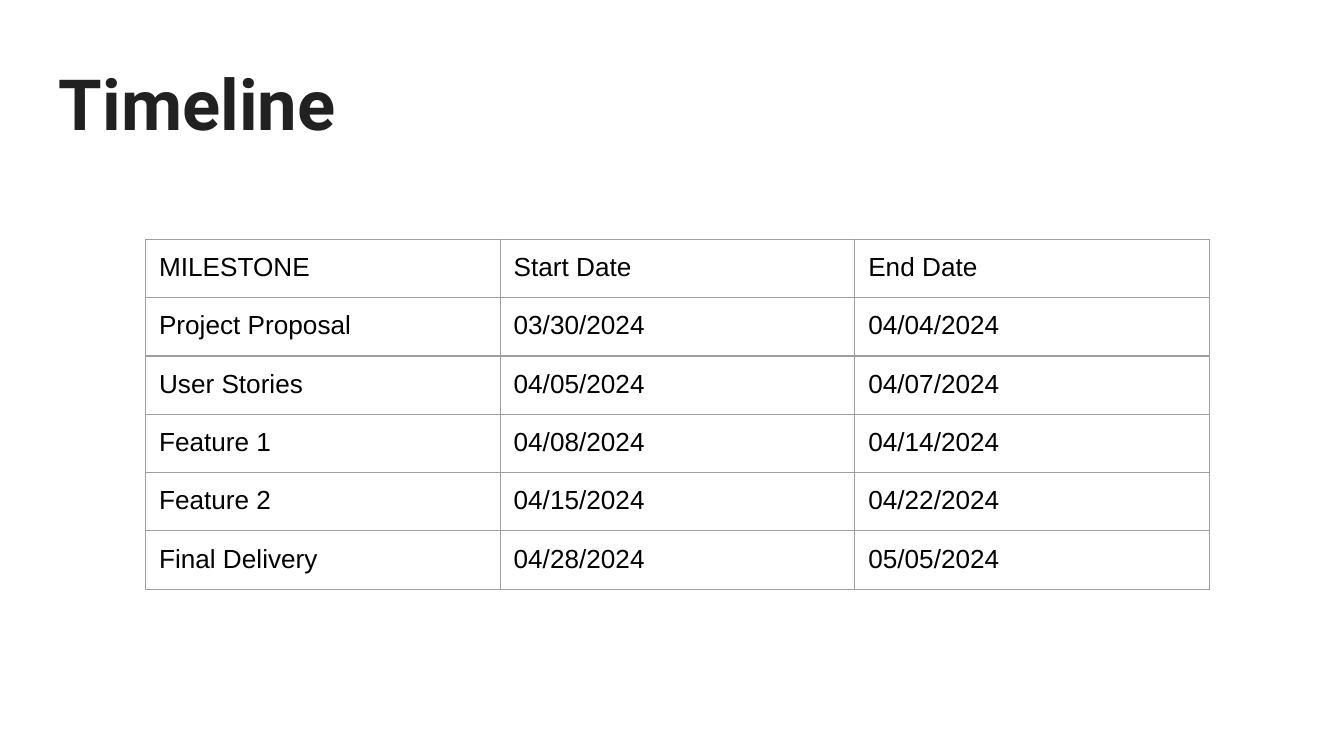
from lxml import etree
from pptx import Presentation
from pptx import util as u
from pptx.dml import color
from pptx.enum import text
from pptx.oxml import ns

COLORS = {"title": "212121", "body": "000000", "border": "9E9E9E"}
TITLE = {"name": "Roboto", "size": u.Pt(37.8), "bold": True}
BODY = {"name": "Arial", "size": u.Pt(14), "bold": False}
INSETS = {f"margin_{side}": u.Pt(7.2) for side in ("left", "top", "right", "bottom")}
MILESTONES = [
    ("MILESTONE", "Start Date", "End Date"),
    ("Project Proposal", "03/30/2024", "04/04/2024"),
    ("User Stories", "04/05/2024", "04/07/2024"),
    ("Feature 1", "04/08/2024", "04/14/2024"),
    ("Feature 2", "04/15/2024", "04/22/2024"),
    ("Final Delivery", "04/28/2024", "05/05/2024"),
]


def assign(target, values):
    for name, value in values.items():
        setattr(target, name, value)


class TimelineSlide:
    """Holds the text style and the current slide, and adds its elements."""

    def __init__(self, slide):
        self.slide = slide

    def add_wording(self, frame, wording, style, hue):
        run = frame.paragraphs[0].add_run()
        run.text = wording
        assign(run.font, style)
        run.font.color.rgb = color.RGBColor.from_string(COLORS[hue])

    def heading(self, wording, left, top, width, height):
        frame = self.slide.shapes.add_textbox(
            u.Pt(left), u.Pt(top), u.Pt(width), u.Pt(height)).text_frame
        assign(frame, {**INSETS, "word_wrap": True,
                       "vertical_anchor": text.MSO_ANCHOR.MIDDLE})
        self.add_wording(frame, wording, TITLE, "title")

    def border(self, cell):
        properties = cell._tc.get_or_add_tcPr()
        for position, edge in enumerate(("lnL", "lnR", "lnT", "lnB")):
            line = etree.Element(ns.qn(f"a:{edge}"), w=str(u.Pt(0.75)))
            fill = etree.SubElement(line, ns.qn("a:solidFill"))
            etree.SubElement(fill, ns.qn("a:srgbClr"), val=COLORS["border"])
            properties.insert(position, line)

    def schedule(self, rows, left, top, column_width, row_height):
        columns = len(rows[0])
        grid = self.slide.shapes.add_table(
            len(rows), columns, u.Pt(left), u.Pt(top),
            u.Pt(column_width * columns), u.Pt(row_height * len(rows))).table
        assign(grid, {"first_row": False, "horz_banding": False})
        for column in grid.columns:
            column.width = u.Pt(column_width)
        for row, entries in zip(grid.rows, rows):
            row.height = u.Pt(row_height)
            for cell, entry in zip(row.cells, entries):
                assign(cell, INSETS)
                cell.fill.background()
                self.border(cell)
                self.add_wording(cell.text_frame, entry, BODY, "body")


def main():
    deck = Presentation()
    assign(deck, {"slide_width": u.Pt(720), "slide_height": u.Pt(405)})
    timeline = TimelineSlide(deck.slides.add_slide(deck.slide_layouts[6]))
    timeline.heading("Timeline", 24.5, 23, 671, 63.4)
    timeline.schedule(MILESTONES, 78, 128.2, 190, 30.1)
    deck.save("out.pptx")


if __name__ == "__main__":
    main()
